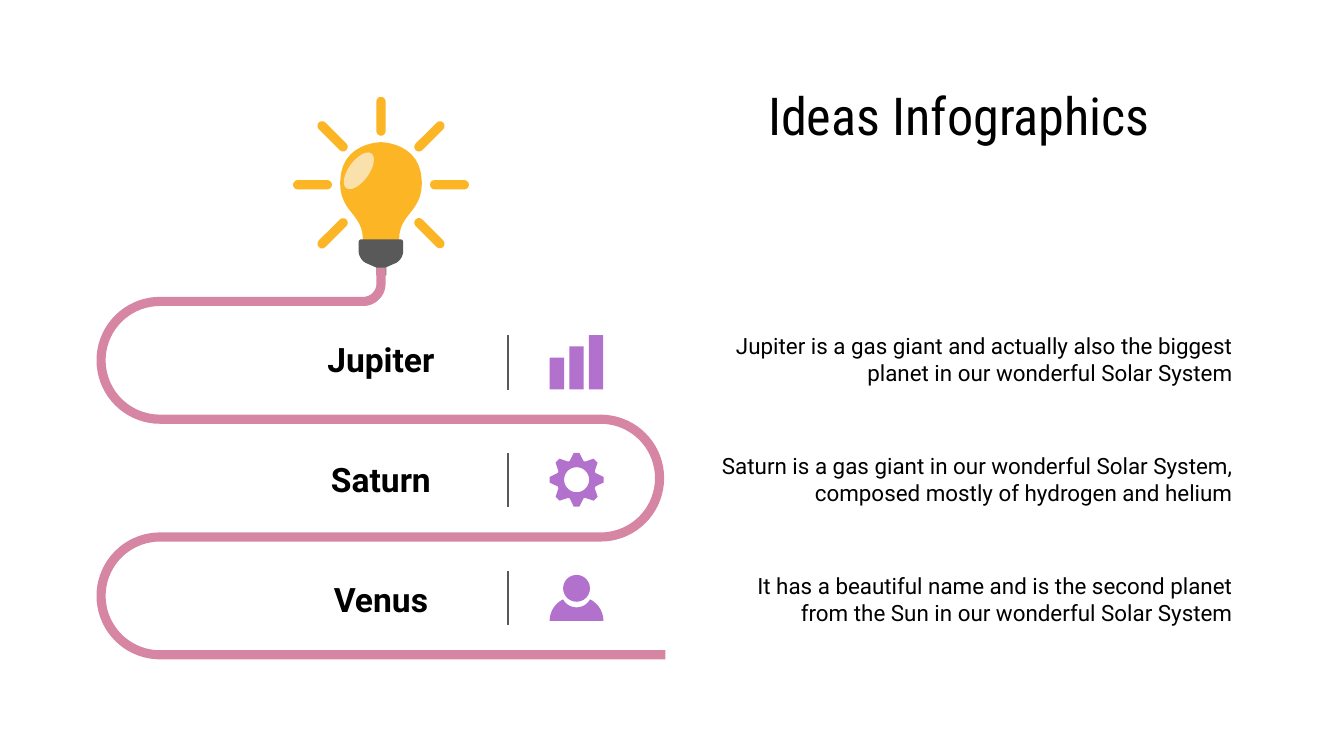
from math import cos, radians, sin

from pptx import Presentation
from pptx.dml.color import RGBColor
from pptx.enum.shapes import MSO_CONNECTOR, MSO_SHAPE
from pptx.enum.text import MSO_ANCHOR, PP_ALIGN
from pptx.oxml.ns import qn
from pptx.util import Pt
from lxml import etree

RECT, OVAL, PILL = MSO_SHAPE.RECTANGLE, MSO_SHAPE.OVAL, MSO_SHAPE.ROUNDED_RECTANGLE
STRAIGHT, MIDDLE = MSO_CONNECTOR.STRAIGHT, MSO_ANCHOR.MIDDLE
CENTER, RIGHT = PP_ALIGN.CENTER, PP_ALIGN.RIGHT

BLACK, DARK, GREY = "000000", "595959", "757575"
PINK, YELLOW, CREAM, PURPLE = "D686A3", "FCB524", "FAE0AA", "B271CC"

TITLE = {"name": "Roboto Condensed", "size": Pt(28)}
HEADING = {"name": "Roboto", "size": Pt(18), "bold": True}
BODY = {"name": "Roboto", "size": Pt(12)}

BULB_X, BULB_Y, NECK_Y = 204.1, 99, 143.3
ICON_X = 308.9
ROAD_TOP, ROW_PITCH, TEXT_PITCH = 161.5, 63.1, 64.4

PLANETS = [
    ("Jupiter", "Jupiter is a gas giant and actually also the biggest planet in our wonderful Solar System"),
    ("Saturn", "Saturn is a gas giant in our wonderful Solar System, composed mostly of hydrogen and helium"),
    ("Venus", "It has a beautiful name and is the second planet from the Sun in our wonderful Solar System"),
]


def rgb(value):
    """Turn a hex string into a colour."""
    return RGBColor.from_string(value)


def paint(shape, color):
    """Give a shape a flat fill with no line or shadow."""
    shape.shadow.inherit = False
    shape.fill.solid()
    shape.fill.fore_color.rgb = rgb(color)
    shape.line.fill.background()


def add_preset(s, kind, x, y, w, h, color, turn=0):
    """Add a filled preset shape, turned about its centre."""
    shape = s.shapes.add_shape(kind, Pt(x), Pt(y), Pt(w), Pt(h))
    shape.rotation = turn
    if kind == PILL:
        shape.adjustments[0] = 0.5
    paint(shape, color)


def add_outline(s, color, *contours):
    """Add one filled freeform made of closed contours."""
    builder = None
    for contour in contours:
        points = [(Pt(x), Pt(y)) for x, y in contour]
        if builder is None:
            builder = s.shapes.build_freeform(*points[0])
        else:
            builder.move_to(*points[0])
        builder.add_line_segments(points[1:], close=True)
    paint(builder.convert_to_shape(), color)


def add_text(s, text, x, y, w, h, align, style):
    """Add a vertically centred text box."""
    tf = s.shapes.add_textbox(Pt(x), Pt(y), Pt(w), Pt(h)).text_frame
    margins = ("margin_left", "margin_top", "margin_right", "margin_bottom")
    frame = {"word_wrap": True, "vertical_anchor": MIDDLE, **dict.fromkeys(margins, Pt(7.2))}
    for key, value in frame.items():
        setattr(tf, key, value)
    p = tf.paragraphs[0]
    p.alignment = align
    r = p.add_run()
    r.text = text
    for key, value in style.items():
        setattr(r.font, key, value)
    r.font.color.rgb = rgb(BLACK)


def add_divider(s, x, y, height):
    """Add a thin upright line."""
    line = s.shapes.add_connector(STRAIGHT, Pt(x), Pt(y), Pt(x), Pt(y + height))
    line.line.color.rgb = rgb(DARK)
    line.line.width = Pt(1.25)
    etree.SubElement(line._element.spPr, qn("a:effectLst"))


def polar(cx, cy, radius, angle):
    """Return the point at an angle in degrees around a centre."""
    return cx + radius * cos(radians(angle)), cy + radius * sin(radians(angle))


def arc(cx, cy, radius, start, end, steps=36):
    """Return points along a circular arc."""
    return [polar(cx, cy, radius, start + (end - start) * i / steps) for i in range(steps + 1)]


def trace(start, *segments, steps=12):
    """Return points along line (x, y) and cubic (six number) segments."""
    points = [start]
    for seg in segments:
        if len(seg) == 2:
            points.append(seg)
            continue
        knots = [points[-1], seg[:2], seg[2:4], seg[4:]]
        for i in range(1, steps + 1):
            t = i / steps
            weights = ((1 - t) ** 3, 3 * t * (1 - t) ** 2, 3 * t * t * (1 - t), t ** 3)
            points.append(tuple(sum(w * k[axis] for w, k in zip(weights, knots)) for axis in (0, 1)))
    return points


def mirrored(points, axis):
    """Complete a left half with its reflection in an upright axis."""
    return points + [(2 * axis - x, y) for x, y in reversed(points)]


def road_edge(offset):
    """Return one edge of the winding road, offset to the left of travel."""
    left, right, bend, corner = 85.7, 321.8, ROW_PITCH / 2, 9.5
    points = [(BULB_X + offset, NECK_Y)]
    points += arc(BULB_X - corner, ROAD_TOP - corner, corner + offset, 0, 90)
    for i in range(3):
        y = ROAD_TOP + bend + i * ROW_PITCH
        if i % 2:
            points += arc(right, y, bend + offset, -90, 90)
        else:
            points += arc(left, y, bend - offset, -90, -270)
    return points + [(356.4, ROAD_TOP + 3 * ROW_PITCH - offset)]


def add_road(s):
    """Draw the road that winds down from the bulb."""
    add_preset(s, RECT, 201.6, NECK_Y, 5.4, 4.3, GREY)
    add_outline(s, PINK, road_edge(2.45) + road_edge(-2.45)[::-1])


def add_bulb(s):
    """Draw the bulb with its base, gloss and rays."""
    glass = trace((BULB_X, 76.2), (BULB_X, 76.2, 182.2, 76.2, 182.2, 98),
                  (182.2, 113.8, 194.4, 114.5, 194.4, 128.2),
                  (194.4, 128.2, 194.4, 131.8, 197.3, 131.8))
    base = trace((193.7, 128.2), (192.9, 128.2, 192.2, 128.9, 192.2, 129.6), (192.2, 134.6),
                 (192.2, 137.5, 194.4, 140.4, 196.6, 141.1), (201.6, NECK_Y))
    add_outline(s, YELLOW, mirrored(glass, BULB_X))
    add_outline(s, DARK, mirrored(base, BULB_X))
    add_preset(s, OVAL, 180.8, 86, 23, 11, CREAM, 306)
    length, thick = 20.9, 5
    for angle in range(-225, 46, 45):
        x, y = polar(BULB_X, BULB_Y, 36.7, angle)
        add_preset(s, PILL, x - length / 2, y - thick / 2, length, thick, YELLOW, angle % 180)


def add_bars_icon(s):
    """Draw three rising bars."""
    for i, height in enumerate((17, 23, 29)):
        add_preset(s, RECT, 294.5 + 10.5 * i, 208.6 - height, 7.7, height, PURPLE)


def add_gear_icon(s):
    """Draw an eight-toothed gear with a round hole."""
    cy = 257
    tooth = ((-20, 10.7), (-6, 14.5), (6, 14.5), (20, 10.7))
    rim = [polar(ICON_X, cy, radius, 45 * i + turn) for i in range(8) for turn, radius in tooth]
    add_outline(s, PURPLE, rim, arc(ICON_X, cy, 6.7, 360, 0))


def add_person_icon(s):
    """Draw a head above shoulders."""
    add_preset(s, OVAL, ICON_X - 7.2, 308, 14.4, 14.4, PURPLE)
    shoulder = trace((ICON_X, 325.4), (306, 325.4, 303.1, 323.9, 301.7, 321.1),
                     (297.4, 323.3, 294.5, 327.6, 294.5, 332.6))
    add_outline(s, PURPLE, mirrored(shoulder, ICON_X))


def main():
    """Build and save the slide."""
    prs = Presentation()
    prs.slide_width, prs.slide_height = Pt(720), Pt(405)
    s = prs.slides.add_slide(prs.slide_layouts[6])
    add_text(s, "Ideas Infographics", 360, 42.5, 307.4, 38.2, CENTER, TITLE)
    add_road(s)
    add_bulb(s)
    for i, (name, fact) in enumerate(PLANETS):
        y = 170.6 + i * TEXT_PITCH
        add_text(s, name, 152.6, y, 103, 43.2, CENTER, HEADING)
        add_text(s, fact, 373, y, 294.5, 43.2, RIGHT, BODY)
        add_divider(s, 272.3, 179.5 + i * ROW_PITCH, 29.2)
    for add_icon in (add_bars_icon, add_gear_icon, add_person_icon):
        add_icon(s)
    prs.save("out.pptx")


if __name__ == "__main__":
    main()
